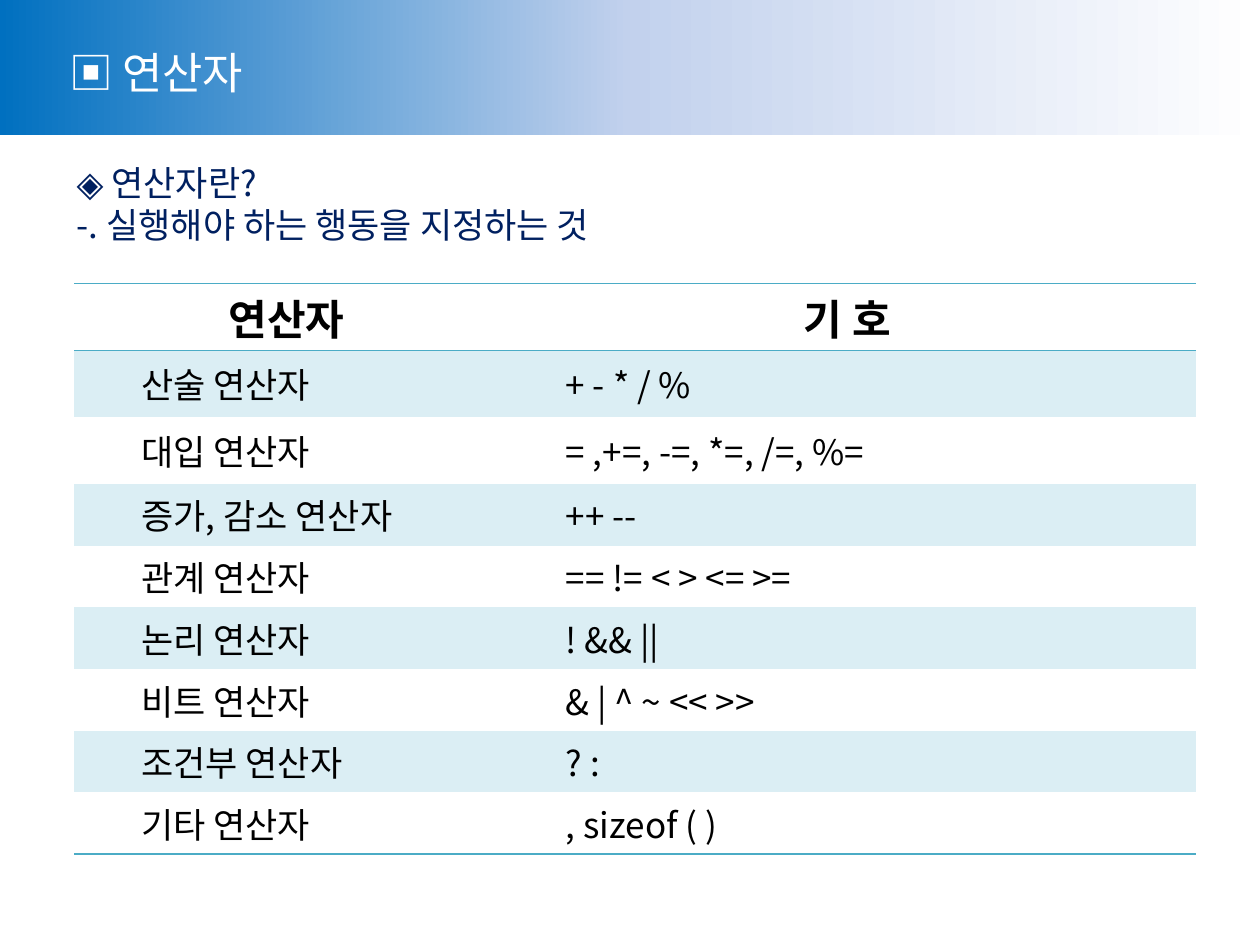
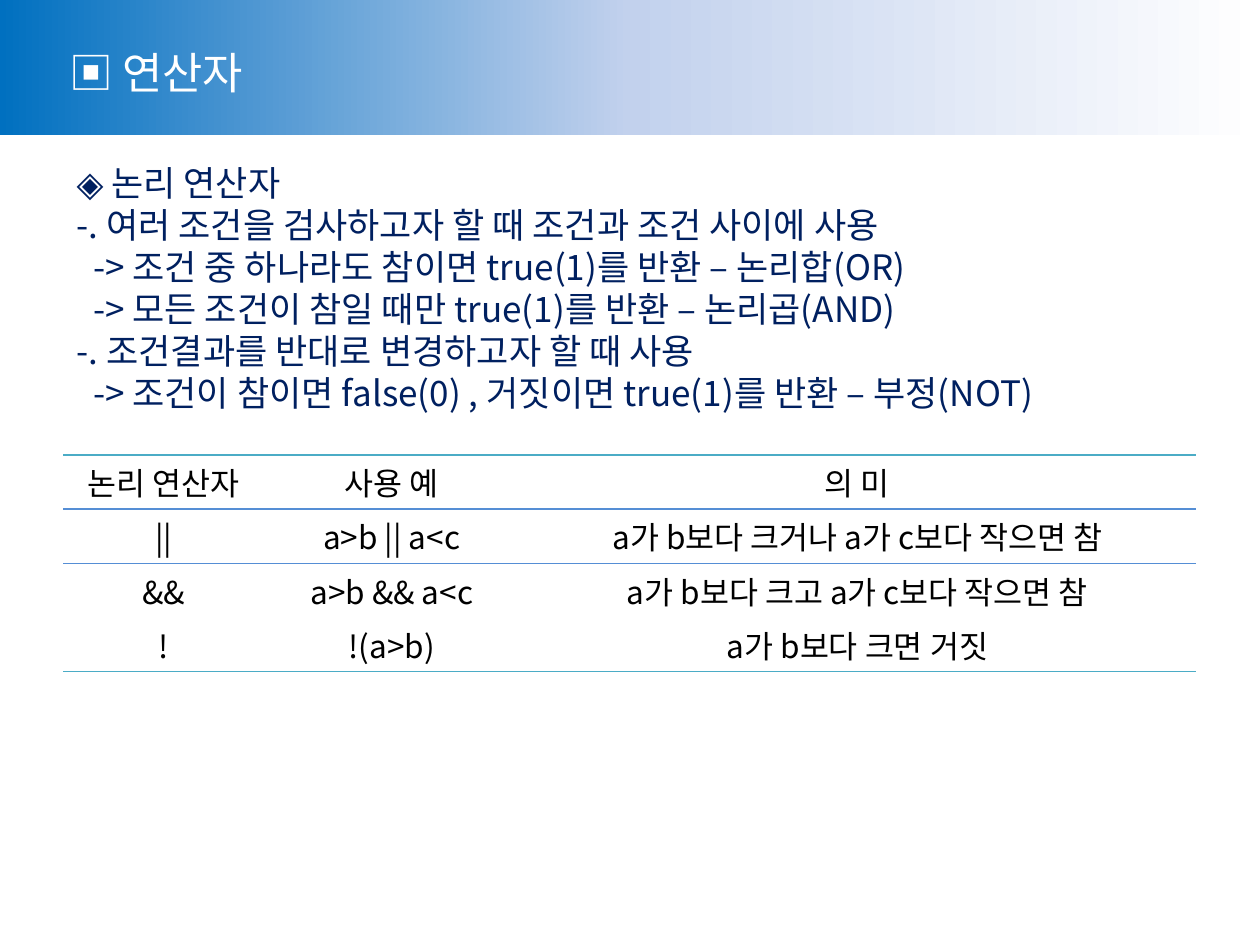
from lxml.etree import SubElement
from pptx import Presentation
from pptx.dml.color import RGBColor
from pptx.enum.shapes import MSO_SHAPE
from pptx.enum.text import MSO_ANCHOR, PP_ALIGN
from pptx.oxml import parse_xml
from pptx.oxml.ns import nsdecls, qn
from pptx.util import Inches, Pt

FONT = "Noto Sans CJK KR"
WHITE = RGBColor(0xFF, 0xFF, 0xFF)
BLACK = RGBColor(0x00, 0x00, 0x00)
NAVY = RGBColor(0x00, 0x20, 0x60)
TEAL = RGBColor(0x4B, 0xAC, 0xC6)
PALE_TEAL = RGBColor(0xDB, 0xEE, 0xF4)
BLUE = RGBColor(0x55, 0x8E, 0xD5)
BAND_STOPS = [
    (0, RGBColor(0x00, 0x70, 0xC0)),
    (50, RGBColor(0xC2, 0xD1, 0xED)),
    (100, WHITE),
]
TEAL_RULE = (TEAL, 1)
BLUE_RULE = (BLUE, 0.75)

OPERATORS = [
    ("연산자", "기 호"),
    ("산술 연산자", "+ - * / %"),
    ("대입 연산자", "= ,+=, -=, *=, /=, %="),
    ("증가, 감소 연산자", "++ --"),
    ("관계 연산자", "== != < > <= >="),
    ("논리 연산자", "! && ||"),
    ("비트 연산자", "& | ^ ~ << >>"),
    ("조건부 연산자", "? :"),
    ("기타 연산자", ", sizeof ( )"),
]
LOGICAL = [
    ("논리 연산자", "사용 예", "의 미"),
    ("||", "a>b || a<c", "a가 b보다 크거나 a가 c보다 작으면 참"),
    ("&&", "a>b && a<c", "a가 b보다 크고 a가 c보다 작으면 참"),
    ("!", "!(a>b)", "a가 b보다 크면 거짓"),
]
LOGICAL_NOTES = [
    "◈ 논리 연산자",
    "-. 여러 조건을 검사하고자 할 때 조건과 조건 사이에 사용",
    "-> 조건 중 하나라도 참이면 true(1)를 반환 – 논리합(OR)",
    "-> 모든 조건이 참일 때만 true(1)를 반환 – 논리곱(AND)",
    "-. 조건결과를 반대로 변경하고자 할 때 사용",
    "-> 조건이 참이면 false(0) , 거짓이면 true(1)를 반환 – 부정(NOT)",
]


def style_runs(p, size, color, bold=False):
    """Give every run of a paragraph the deck font, a size and a colour."""
    for r in p.runs:
        r.font.size = Pt(size)
        r.font.bold = bold
        r.font.color.rgb = color
        r.font.name = FONT
        for tag in ("a:ea", "a:sym"):
            SubElement(r._r.get_or_add_rPr(), qn(tag)).set("typeface", FONT)


def indent(p, inches):
    """Set the left indent of a whole paragraph."""
    pPr = p._p.get_or_add_pPr()
    pPr.set("marL", str(Inches(inches)))
    pPr.set("indent", "0")


def add_band(s):
    """Draw the gradient band across the top."""
    band = s.shapes.add_shape(MSO_SHAPE.RECTANGLE, 0, 0, Inches(10), Inches(1.07))
    band.shadow.inherit = False
    band.line.fill.background()
    stops = "".join(
        f'<a:gs pos="{pos * 1000}"><a:srgbClr val="{color}"/></a:gs>'
        for pos, color in BAND_STOPS
    )
    gradient = parse_xml(
        f'<a:gradFill {nsdecls("a")} rotWithShape="1"><a:gsLst>{stops}</a:gsLst>'
        '<a:lin ang="0" scaled="0"/></a:gradFill>'
    )
    band._element.spPr.find(qn("a:prstGeom")).addnext(gradient)


def add_title(s, text):
    """Write the white title on the band."""
    sp = s.shapes.add_textbox(Inches(0.45), Inches(0.31), Inches(1.73), Inches(0.52))
    tf = sp.text_frame
    tf.word_wrap = False
    tf.vertical_anchor = MSO_ANCHOR.MIDDLE
    tf.text = text
    style_runs(tf.paragraphs[0], 25, WHITE)


def add_notes_block(s, lines):
    """Write the navy lines under the band, arrow lines set further in."""
    height = 0.1 + len(lines) / 3
    sp = s.shapes.add_textbox(Inches(0.45), Inches(1.23), Inches(9.04), Inches(height))
    tf = sp.text_frame
    tf.word_wrap = True
    tf.text = "\n".join(lines)
    for p in tf.paragraphs:
        indent(p, 0.19 if p.text.startswith("->") else 0.06)
        p.line_spacing = Pt(24)
        style_runs(p, 20, NAVY)


def set_borders(cell, top, bottom):
    """Draw the top and bottom rules of a cell and hide its sides."""
    tcPr = cell._tc.get_or_add_tcPr()
    sides = [("lnL", None), ("lnR", None), ("lnT", top), ("lnB", bottom)]
    for i, (tag, rule) in enumerate(sides):
        if rule:
            color, width = rule
            attrs = f'w="{Pt(width)}"'
            fill = f'<a:solidFill><a:srgbClr val="{color}"/></a:solidFill>'
        else:
            attrs, fill = 'w="0"', "<a:noFill/>"
        tcPr.insert(i, parse_xml(f'<a:{tag} {nsdecls("a")} {attrs}>{fill}</a:{tag}>'))


def add_grid(s, left, top, widths, heights, rows, rules, margin, style_cell):
    """Add a table whose rules are keyed by row boundary."""
    frame = s.shapes.add_table(
        len(rows), len(widths), Inches(left), Inches(top),
        Inches(sum(widths)), Inches(sum(heights)),
    )
    table = frame.table
    table.first_row = table.horz_banding = False
    for column, width in zip(table.columns, widths):
        column.width = Inches(width)
    for i, (row, height, texts) in enumerate(zip(table.rows, heights, rows)):
        row.height = Inches(height)
        for cell, text in zip(row.cells, texts):
            cell.text = text
            cell.vertical_anchor = MSO_ANCHOR.MIDDLE
            cell.margin_left = cell.margin_right = Inches(margin)
            cell.margin_top = cell.margin_bottom = Inches(0.03)
            cell.fill.background()
            style_cell(cell, i)
            set_borders(cell, rules.get(i), rules.get(i + 1))


def style_operator_cell(cell, i):
    """Style a bold header or an indented row with alternate shading."""
    p = cell.text_frame.paragraphs[0]
    if i == 0:
        p.alignment = PP_ALIGN.CENTER
        style_runs(p, 24, BLACK, bold=True)
        return
    p.level = 1
    indent(p, 0.5)
    style_runs(p, 20, BLACK)
    if i % 2:
        cell.fill.solid()
        cell.fill.fore_color.rgb = PALE_TEAL


def style_logical_cell(cell, i):
    """Style a plain centred cell."""
    p = cell.text_frame.paragraphs[0]
    p.alignment = PP_ALIGN.CENTER
    style_runs(p, 18, BLACK)


def add_operator_slide(prs, lines):
    """Add a slide with the shared band, title and notes."""
    s = prs.slides.add_slide(prs.slide_layouts[6])
    add_band(s)
    add_title(s, "▣ 연산자")
    add_notes_block(s, lines)
    return s


def main():
    """Build both slides and save the deck."""
    prs = Presentation()
    prs.slide_width, prs.slide_height = Inches(10), Inches(7.5)

    s = add_operator_slide(prs, ["◈ 연산자란?", "-. 실행해야 하는 행동을 지정하는 것"])
    add_grid(
        s, 0.59, 2.25, [3.37, 5.53], [0.53] * 3 + [0.49] * 6, OPERATORS,
        {0: TEAL_RULE, 1: TEAL_RULE, 9: TEAL_RULE}, 0.03, style_operator_cell,
    )

    s = add_operator_slide(prs, LOGICAL_NOTES)
    add_grid(
        s, 0.5, 3.61, [1.6, 2.02, 5.37], [0.43] * 4, LOGICAL,
        {0: TEAL_RULE, 1: BLUE_RULE, 2: BLUE_RULE, 4: TEAL_RULE}, 0.11, style_logical_cell,
    )
    prs.save("out.pptx")


if __name__ == "__main__":
    main()
